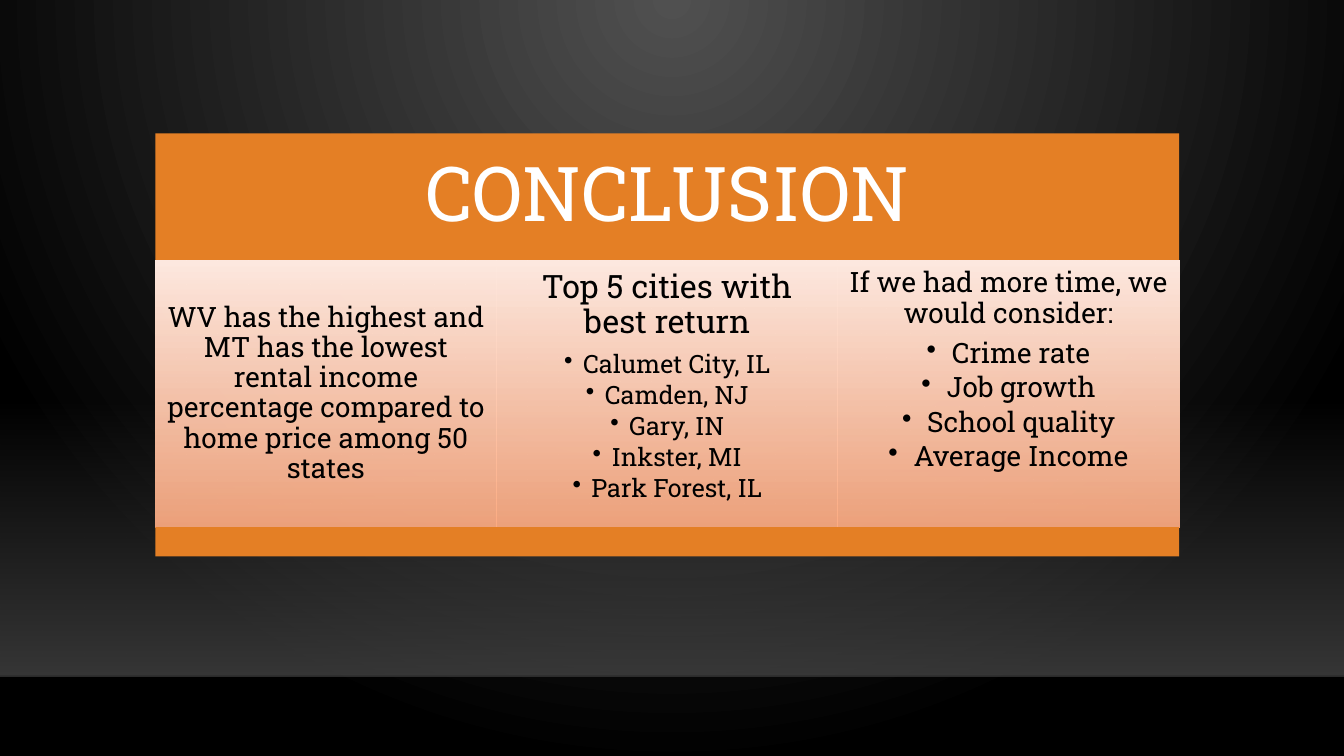
from pptx import Presentation
from pptx.dml.color import RGBColor
from pptx.enum.shapes import MSO_CONNECTOR, MSO_SHAPE
from pptx.enum.text import MSO_ANCHOR, PP_ALIGN
from pptx.oxml import parse_xml
from pptx.oxml.ns import nsdecls, qn
from pptx.util import Pt

PX = 9525
WIDTH, HEIGHT = 1280, 720
RECT, STRAIGHT = MSO_SHAPE.RECTANGLE, MSO_CONNECTOR.STRAIGHT
TOP, MIDDLE, CENTER = MSO_ANCHOR.TOP, MSO_ANCHOR.MIDDLE, PP_ALIGN.CENTER
FONT = "Roboto Slab"
LINEAR = '<a:lin ang="5400000" scaled="0"/>'
RADIAL = ('<a:path path="circle"><a:fillToRect l="43000" t="0" r="43000" '
          'b="100000"/></a:path>')
COLORS = {
    "glow": "505050", "black": "000000", "floor": "454545", "edge": "000001",
    "orange": "E47F25", "pale": "FFEAE1", "peach": "FFAD84", "white": "FFFFFF",
}
CARDS = [
    {"heading": "WV has the highest and MT has the lowest rental income "
                "percentage compared to home price among 50 states",
     "size": 20, "items": [], "item_size": 20, "indent": 0,
     "inset": 8, "anchor": MIDDLE},
    {"heading": "Top 5 cities with best return", "size": 23,
     "items": ["Calumet City, IL", "Camden, NJ", "Gary, IN", "Inkster, MI",
               "Park Forest, IL"],
     "item_size": 18, "indent": 18, "inset": 10, "anchor": TOP},
    {"heading": "If we had more time, we would consider:", "size": 20,
     "items": ["Crime rate", "Job growth", "School quality", "Average Income"],
     "item_size": 20, "indent": 24, "inset": 8, "anchor": TOP},
]


def px(*lengths):
    """Turn pixel lengths into EMU."""
    return [round(n * PX) for n in lengths]


def gradient(start, end, direction):
    """Build a two-stop gradient from (colour name, opacity percent) pairs."""
    stops = "".join(
        f'<a:gs pos="{pos}"><a:srgbClr val="{COLORS[name]}">'
        f'<a:alpha val="{opacity * 1000}"/></a:srgbClr></a:gs>'
        for pos, (name, opacity) in ((0, start), (100000, end)))
    return parse_xml(f'<a:gradFill {nsdecls("a")} rotWithShape="1">'
                     f'<a:gsLst>{stops}</a:gsLst>{direction}</a:gradFill>')


def add_rect(s, box, fill):
    """Add a borderless rectangle filled with a colour name or a gradient."""
    sp = s.shapes.add_shape(RECT, *px(*box))
    sp.shadow.inherit = False
    sp.line.fill.background()
    if isinstance(fill, str):
        sp.fill.solid()
        sp.fill.fore_color.rgb = RGBColor.from_string(COLORS[fill])
    else:
        sp._element.spPr.insert(2, fill)
    return sp


def set_frame(sp, inset, anchor):
    """Set the insets, anchor and wrapping of a shape's text."""
    tf = sp.text_frame
    margin = px(inset)[0]
    frame = {"word_wrap": True, "vertical_anchor": anchor}
    frame.update({f"margin_{side}": margin
                  for side in ("left", "top", "right", "bottom")})
    for name, value in frame.items():
        setattr(tf, name, value)
    return tf


def write(p, text, size, color, gap=0.35):
    """Write one centred paragraph with a gap proportional to its size."""
    for name, value in {"alignment": CENTER, "line_spacing": 0.9,
                        "space_after": Pt(size * gap)}.items():
        setattr(p, name, value)
    r = p.add_run()
    r.text = text
    for name, value in {"name": FONT, "size": Pt(size)}.items():
        setattr(r.font, name, value)
    r.font.color.rgb = RGBColor.from_string(COLORS[color])


def add_bullet(p, indent):
    """Give a paragraph a round bullet with a hanging indent."""
    p.level = 1
    pPr = p._p.get_or_add_pPr()
    hang = px(indent)[0]
    pPr.set("marL", str(hang))
    pPr.set("indent", str(-hang))
    pPr.append(parse_xml(f'<a:buChar {nsdecls("a")} char="•"/>'))


def draw_backdrop(s, floor_top, floor_bottom):
    """Draw the radial background, the floor glow and its lower edge."""
    s.background.fill.solid()
    bgPr = s.element.find(".//" + qn("p:bgPr"))
    bgPr.replace(bgPr[0], gradient(("glow", 100), ("black", 100), RADIAL))
    add_rect(s, (0, floor_top, WIDTH, floor_bottom - floor_top),
             gradient(("floor", 0), ("floor", 80), LINEAR))
    edge = s.shapes.add_connector(STRAIGHT, *px(0, floor_bottom, WIDTH, floor_bottom))
    edge.line.width = Pt(1)
    edge.line.color.rgb = RGBColor.from_string(COLORS["edge"])
    spPr = edge._element.spPr
    spPr.find(".//" + qn("a:srgbClr")).append(
        parse_xml(f'<a:alpha {nsdecls("a")} val="20000"/>'))
    spPr.append(parse_xml(f'<a:effectLst {nsdecls("a")}/>'))


def draw_card(s, box, card):
    """Draw one column with its heading and bulleted items."""
    sp = add_rect(s, box, gradient(("pale", 100), ("peach", 92), LINEAR))
    tf = set_frame(sp, card["inset"], card["anchor"])
    write(tf.paragraphs[0], card["heading"], card["size"], "black")
    for item in card["items"]:
        p = tf.add_paragraph()
        write(p, item, card["item_size"], "black", 0.15)
        add_bullet(p, card["indent"])


def draw_panel(s, box):
    """Draw the title band, the row of cards and the base band."""
    left, top, width, height = box
    title_h, base_h = 121, 28
    card_w, card_h = width // len(CARDS), height - title_h - base_h
    title = add_rect(s, (left, top, width, title_h), "orange")
    write(set_frame(title, 22, MIDDLE).paragraphs[0], "CONCLUSION", 54, "white")
    for i, card in enumerate(CARDS):
        draw_card(s, (left + i * card_w, top + title_h, card_w, card_h), card)
    add_rect(s, (left, top + height - base_h, width, base_h), "orange")


def main():
    """Build and save the conclusion slide."""
    prs = Presentation()
    prs.slide_width, prs.slide_height = px(WIDTH, HEIGHT)
    s = prs.slides.add_slide(prs.slide_layouts[6])
    draw_backdrop(s, 380, 644)
    draw_panel(s, (148, 127, 975, 403))
    prs.save("out.pptx")


if __name__ == "__main__":
    main()
